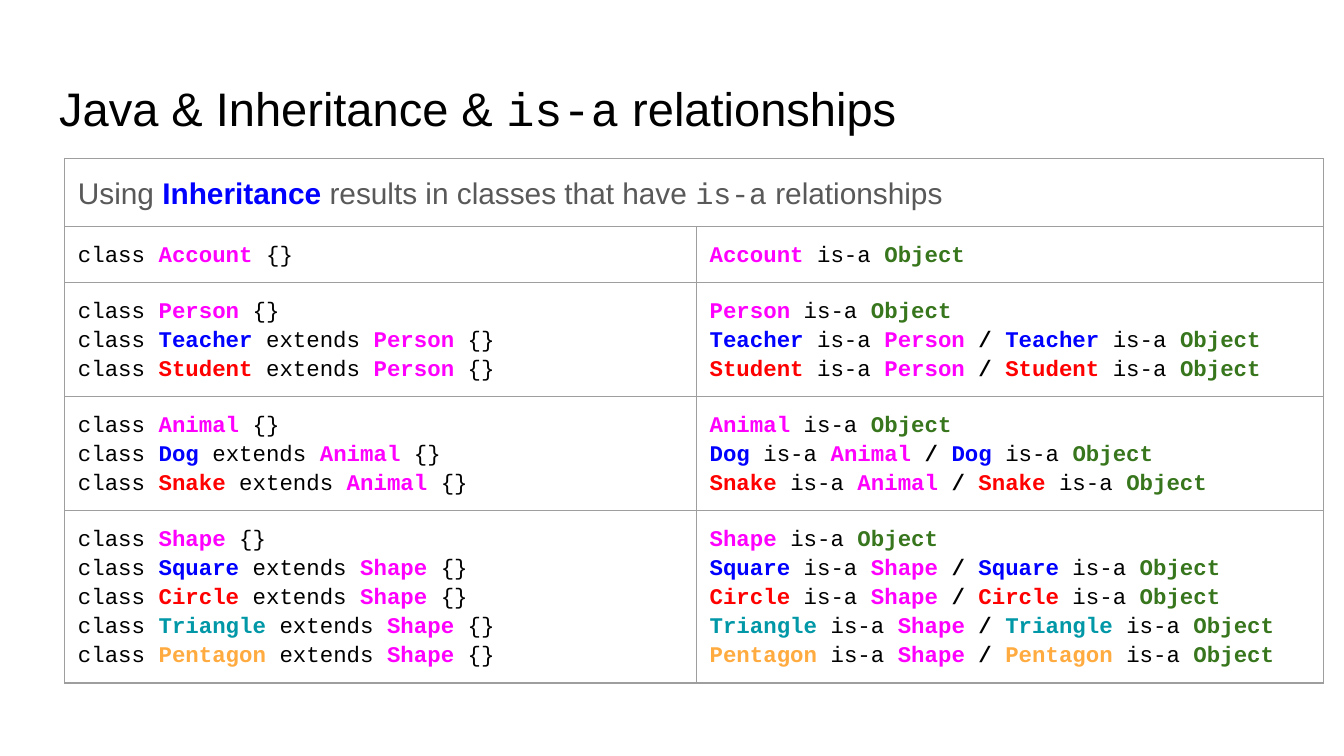
from dataclasses import dataclass

import lxml.etree
import pptx
import pptx.dml.color
import pptx.enum.text
import pptx.oxml.ns
import pptx.util

Inches = pptx.util.Inches
SANS, MONO = "Arial", "Courier New"
BLACK, GRAY, BORDER = "000000", "595959", "9E9E9E"
PARENT, OBJECT = "FF00FF", "38761D"
CHILD_COLORS = ["0000FF", "FF0000", "0097A7", "FFAB40"]
COLUMN_WIDTHS = [4.7, 4.67]
ROW_HEIGHTS = [0.33, 0.28, 0.28, 0.28, 0.44]  # minimums; rows grow with their text


@dataclass
class Family:
    """A parent class and the classes that extend it."""
    parent: str
    children: tuple[str, ...] = ()


FAMILIES = [
    Family("Account"),
    Family("Person", ("Teacher", "Student")),
    Family("Animal", ("Dog", "Snake")),
    Family("Shape", ("Square", "Circle", "Triangle", "Pentagon")),
]


def rgb(color: str):
    """Turn a hex string into a colour."""
    return pptx.dml.color.RGBColor.from_string(color)


def add_span(para, text: str, *, size: float = 12, font: str = MONO,
             color: str = BLACK, bold: bool = False) -> None:
    """Append formatted text to a paragraph."""
    span = para.add_run()
    span.text = text
    span.font.size = pptx.util.Pt(size)
    span.font.name = font
    span.font.bold = bold
    span.font.color.rgb = rgb(color)


def set_borders(cell) -> None:
    """Draw a thin line on all four sides of a cell."""
    properties = cell._tc.get_or_add_tcPr()
    for index, side in enumerate(("lnL", "lnR", "lnT", "lnB")):
        line = lxml.etree.Element(pptx.oxml.ns.qn(f"a:{side}"), w="9525")
        fill = lxml.etree.SubElement(line, pptx.oxml.ns.qn("a:solidFill"))
        lxml.etree.SubElement(fill, pptx.oxml.ns.qn("a:srgbClr"), val=BORDER)
        properties.insert(index, line)


def set_margins(target) -> None:
    """Give a cell or text frame equal margins."""
    for side in ("left", "right", "top", "bottom"):
        setattr(target, f"margin_{side}", Inches(0.1))


def format_cell(cell):
    """Format an empty cell and return its paragraph."""
    cell.fill.background()
    set_borders(cell)
    set_margins(cell)
    para = cell.text_frame.paragraphs[0]
    para.line_spacing = 1.15
    para.space_after = pptx.util.Pt(12)
    return para


def write_classes(para, family: Family) -> None:
    """Write the class declarations of a family."""
    add_span(para, "class ")
    add_span(para, family.parent, color=PARENT, bold=True)
    add_span(para, " {}")
    for child, color in zip(family.children, CHILD_COLORS):
        para.add_line_break()
        add_span(para, "class ")
        add_span(para, child, color=color, bold=True)
        add_span(para, " extends ")
        add_span(para, family.parent, color=PARENT, bold=True)
        add_span(para, " {}")


def write_relation(para, name: str, color: str, base: str, base_color: str) -> None:
    """Write one is-a relationship."""
    add_span(para, name, color=color, bold=True)
    add_span(para, " is-a ")
    add_span(para, base, color=base_color, bold=True)


def write_relations(para, family: Family) -> None:
    """Write every is-a relationship of a family."""
    write_relation(para, family.parent, PARENT, "Object", OBJECT)
    for child, color in zip(family.children, CHILD_COLORS):
        para.add_line_break()
        write_relation(para, child, color, family.parent, PARENT)
        add_span(para, " / ", bold=True)
        write_relation(para, child, color, "Object", OBJECT)


def add_title(page) -> None:
    """Place and fill the title placeholder."""
    box = page.shapes.title
    box.left, box.top = Inches(0.34), Inches(0.49)
    box.width, box.height = Inches(9.32), Inches(0.63)
    frame = box.text_frame
    set_margins(frame)
    frame.word_wrap = True
    frame.auto_size = pptx.enum.text.MSO_AUTO_SIZE.NONE
    frame.vertical_anchor = pptx.enum.text.MSO_ANCHOR.TOP
    para = frame.paragraphs[0]
    para.alignment = pptx.enum.text.PP_ALIGN.LEFT
    for text, font in (("Java & Inheritance & ", SANS), ("is-a", MONO),
                       (" relationships", SANS)):
        add_span(para, text, size=25.2, font=font)


def add_class_table(page) -> None:
    """Add the table of declarations and relationships."""
    table = page.shapes.add_table(
        len(ROW_HEIGHTS), len(COLUMN_WIDTHS), Inches(0.48), Inches(1.18),
        Inches(sum(COLUMN_WIDTHS)), Inches(sum(ROW_HEIGHTS))).table
    table.first_row = table.horz_banding = False
    for column, width in zip(table.columns, COLUMN_WIDTHS):
        column.width = Inches(width)
    for row, height in zip(table.rows, ROW_HEIGHTS):
        row.height = Inches(height)
    paras = [[format_cell(cell) for cell in row.cells] for row in table.rows]

    table.cell(0, 0).merge(table.cell(0, 1))
    heading = paras[0][0]
    add_span(heading, "Using ", size=16, font=SANS, color=GRAY)
    add_span(heading, "Inheritance", size=16, font=SANS, color=CHILD_COLORS[0], bold=True)
    for text, font in ((" results in classes that have ", SANS), ("is-a", MONO),
                       (" relationships", SANS)):
        add_span(heading, text, size=16, font=font, color=GRAY)

    for (left, right), family in zip(paras[1:], FAMILIES):
        write_classes(left, family)
        write_relations(right, family)


deck = pptx.Presentation()
deck.slide_width = Inches(10)
deck.slide_height = deck.slide_width * 9 // 16
page = deck.slides.add_slide(deck.slide_layouts[5])
add_class_table(page)
add_title(page)
deck.save("out.pptx")
